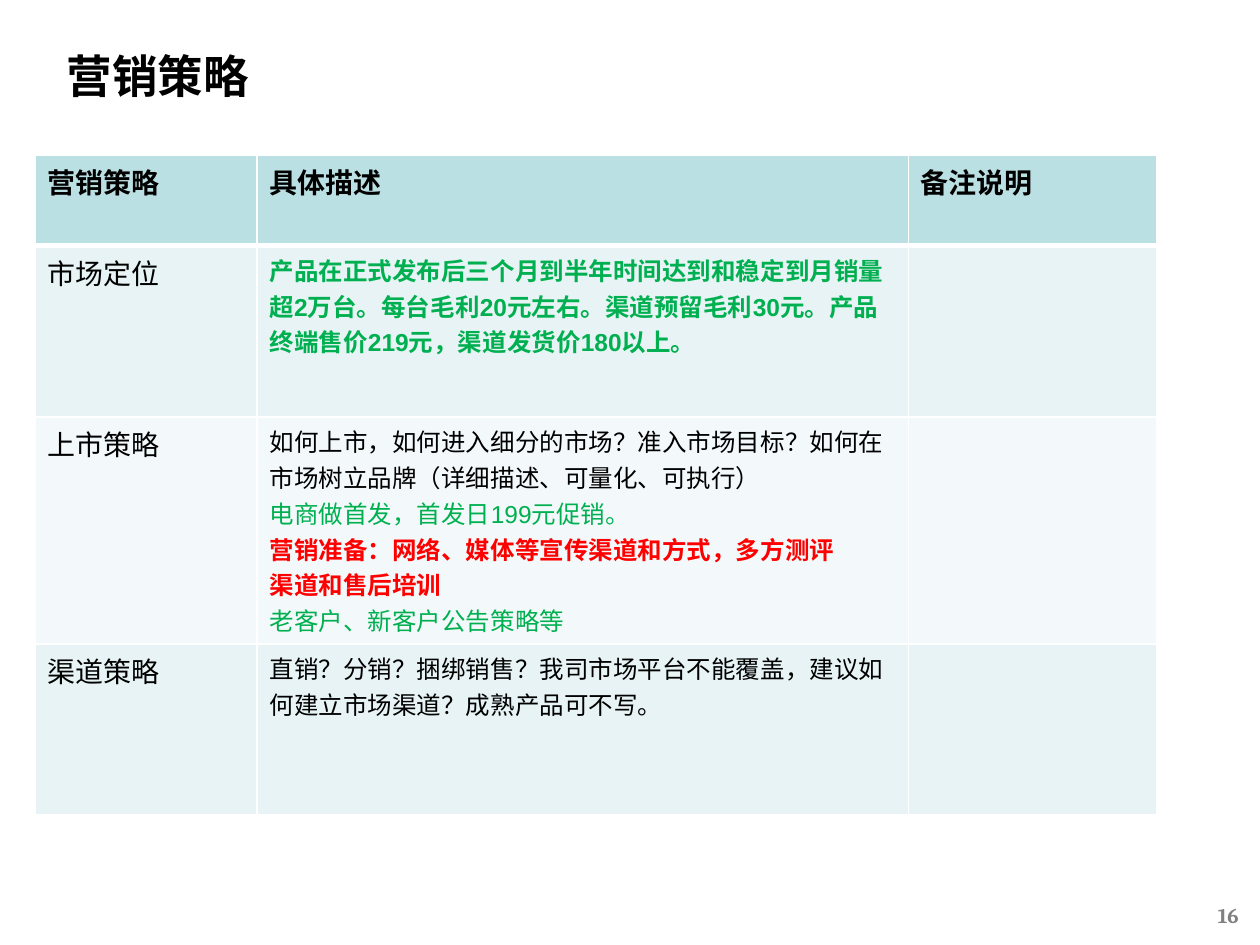
from lxml import etree
from pptx import Presentation
from pptx.dml.color import RGBColor
from pptx.enum.text import MSO_ANCHOR, PP_ALIGN
from pptx.oxml.ns import qn
from pptx.util import Inches, Pt

MIDDLE = MSO_ANCHOR.MIDDLE
LEFT, RIGHT = PP_ALIGN.LEFT, PP_ALIGN.RIGHT

COLORS = {"black": "000000", "gray": "808080", "green": "00B050", "red": "FF0000",
          "white": "FFFFFF", "header": "BBE0E3", "band1": "E7F3F4", "band2": "F3F9FA"}

TITLE = {"size": Pt(26), "name": "Arial", "bold": True}
NUMBER = {"size": Pt(12), "name": "Cambria", "bold": True}
HEAD = {"size": Pt(16), "name": "Arial", "bold": True}
LABEL = {**HEAD, "bold": False}
BODY = {"size": Pt(14), "name": "Arial", "bold": False}
STRONG = {**BODY, "bold": True}

COL_WIDTHS = [1.76, 5.17, 1.97]
# The launch row holds six lines of body text
ROW_HEIGHTS = [0.72, 1.36, 1.8, 1.36]
HEADERS = ["营销策略", "具体描述", "备注说明"]
# Each strategy: label, then description paragraphs as (text, format, color)
STRATEGIES = [
    ("市场定位", [
        ("产品在正式发布后三个月到半年时间达到和稳定到月销量超2万台。每台毛利20元左右。"
         "渠道预留毛利30元。产品终端售价219元，渠道发货价180以上。", STRONG, "green")]),
    ("上市策略", [
        ("如何上市，如何进入细分的市场？准入市场目标？如何在市场树立品牌"
         "（详细描述、可量化、可执行）", BODY, "black"),
        ("电商做首发，首发日199元促销。", BODY, "green"),
        ("营销准备：网络、媒体等宣传渠道和方式，多方测评", STRONG, "red"),
        ("渠道和售后培训", STRONG, "red"),
        ("老客户、新客户公告策略等", BODY, "green")]),
    ("渠道策略", [
        ("直销？分销？捆绑销售？我司市场平台不能覆盖，建议如何建立市场渠道？"
         "成熟产品可不写。", BODY, "black")]),
]


def write(tf, paragraphs, align=LEFT):
    for i, (text, fmt, color) in enumerate(paragraphs):
        p = tf.paragraphs[0] if i == 0 else tf.add_paragraph()
        p.alignment = align
        r = p.add_run()
        r.text = text
        for name, value in fmt.items():
            setattr(r.font, name, value)
        r.font.color.rgb = RGBColor.from_string(COLORS[color])


def add_label(s, box, text, fmt, color, align=LEFT):
    tf = s.shapes.add_textbox(*map(Inches, box)).text_frame
    tf.word_wrap = True
    tf.vertical_anchor = MIDDLE
    write(tf, [(text, fmt, color)], align)


def style_cell(cell, fill, top=1, bottom=1):
    """Fill the cell and draw white borders, widths in points."""
    tcPr = cell._tc.get_or_add_tcPr()
    for tag, width in (("lnL", 1), ("lnR", 1), ("lnT", top), ("lnB", bottom)):
        ln = etree.SubElement(tcPr, qn(f"a:{tag}"), w=str(Pt(width)))
        line_fill = etree.SubElement(ln, qn("a:solidFill"))
        etree.SubElement(line_fill, qn("a:srgbClr"), val=COLORS["white"])
    cell.fill.solid()
    cell.fill.fore_color.rgb = RGBColor.from_string(COLORS[fill])


def add_strategy_table(s, box):
    rows = [[[(text, HEAD, "black")] for text in HEADERS]]
    rows += [[[(label, LABEL, "black")], description, []]
             for label, description in STRATEGIES]
    table = s.shapes.add_table(len(rows), len(HEADERS), *map(Inches, box)).table
    for column, width in zip(table.columns, COL_WIDTHS):
        column.width = Inches(width)
    for i, (row, height) in enumerate(zip(rows, ROW_HEIGHTS)):
        table.rows[i].height = Inches(height)
        fill = "header" if i == 0 else ("band1" if i % 2 else "band2")
        # A thick rule separates the header from the body
        top, bottom = 3 if i == 1 else 1, 3 if i == 0 else 1
        for j, paragraphs in enumerate(row):
            cell = table.cell(i, j)
            style_cell(cell, fill, top, bottom)
            write(cell.text_frame, paragraphs)


def main():
    prs = Presentation()
    prs.slide_width, prs.slide_height = Inches(10), Inches(7.5)
    s = prs.slides.add_slide(prs.slide_layouts[6])
    # Title
    add_label(s, (0.43, 0.29, 7.88, 0.62), "营销策略", TITLE, "black")
    # Strategy table
    add_strategy_table(s, (0.28, 1.23, sum(COL_WIDTHS), sum(ROW_HEIGHTS)))
    # Page number
    add_label(s, (7.6, 7.06, 2.33, 0.4), "16", NUMBER, "gray", RIGHT)
    prs.save("out.pptx")


if __name__ == "__main__":
    main()
